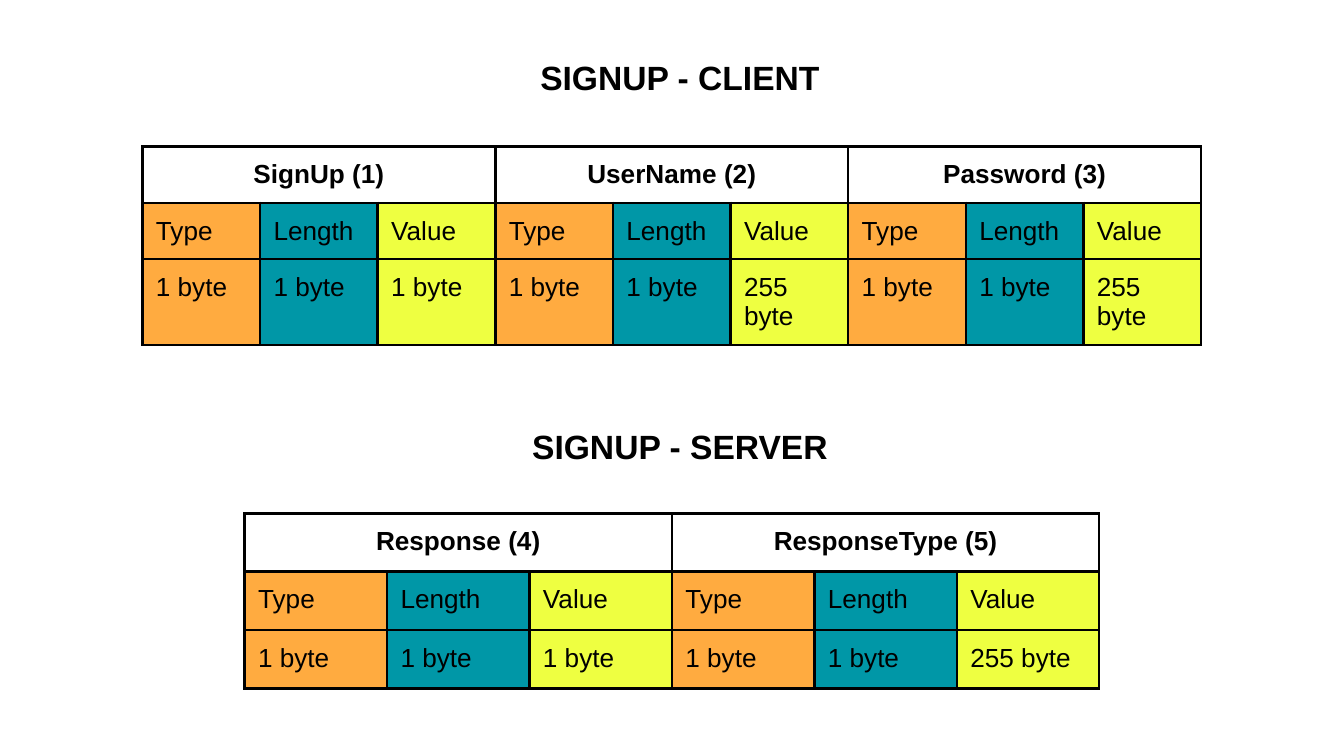
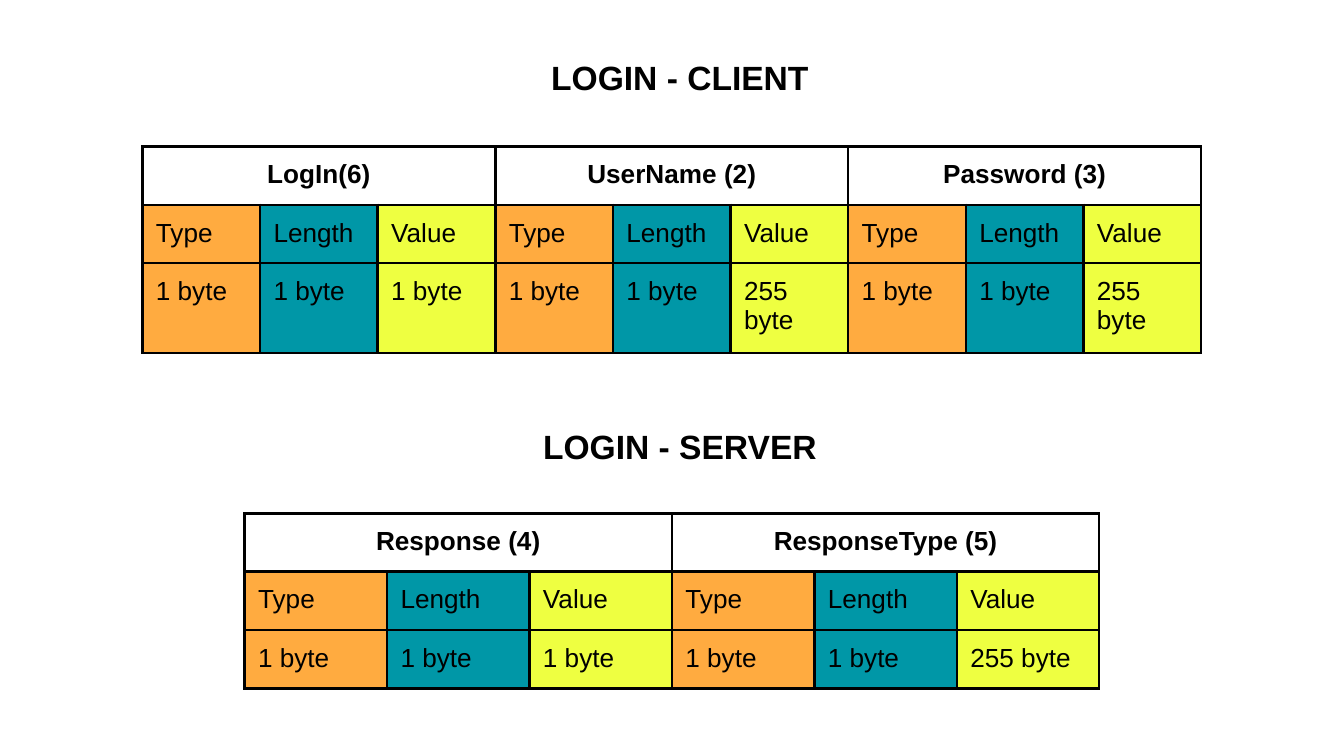
from lxml import etree
from pptx import Presentation
from pptx.dml.color import RGBColor
from pptx.enum import text
from pptx.oxml import ns
from pptx.util import Inches, Pt

BLACK = "000000"
COLUMNS = [("Type", "FFAB40"), ("Length", "0097A7"), ("Value", "EEFF41")]
ROW_HEIGHTS = [Pt(30), Pt(30), Pt(31)]
BORDER_WIDTH = Pt(1.5)
FRAME_SIZE = Inches(3.28)

# Each message: title, title top, table left, table top, table width, fields.
# Each field: name and the size of its value.
credentials = [("UserName (2)", "255 byte"), ("Password (3)", "255 byte")]
response = [("Response (4)", "1 byte"), ("ResponseType (5)", "255 byte")]
slides = [
    [
        (f"{action} - CLIENT", 0.32, 1.06, 1.09, 7.88, [(request, "1 byte")] + credentials),
        (f"{action} - SERVER", 3.07, 1.82, 3.82, 6.36, response),
    ]
    for action, request in [("SIGNUP", "SignUp (1)"), ("LOGIN", "LogIn(6)")]
]


def write(frame, words, size=14, bold=False, align=text.PP_ALIGN.LEFT):
    frame.word_wrap = True
    paragraph = frame.paragraphs[0]
    paragraph.alignment = align
    run = paragraph.add_run()
    run.text = words
    run.font.name = "Arial"
    run.font.size = Pt(size)
    run.font.bold = bold
    run.font.color.rgb = RGBColor.from_string(BLACK)


def format_cell(cell, color=None):
    cell.margin_left = cell.margin_right = Inches(0.1)
    cell.margin_top = cell.margin_bottom = Inches(0.1)
    properties = cell._tc.get_or_add_tcPr()
    for side in ("lnL", "lnR", "lnT", "lnB"):
        line = etree.SubElement(properties, ns.qn(f"a:{side}"), w=str(BORDER_WIDTH))
        line_fill = etree.SubElement(line, ns.qn("a:solidFill"))
        etree.SubElement(line_fill, ns.qn("a:srgbClr"), val=BLACK)
    if color:
        cell.fill.solid()
        cell.fill.fore_color.rgb = RGBColor.from_string(color)
    else:
        cell.fill.background()


prs = Presentation()
prs.slide_width = Inches(10)
prs.slide_height = prs.slide_width * 9 // 16

for messages in slides:
    slide = prs.slides.add_slide(prs.slide_layouts[6])
    for title, title_top, left, top, width, fields in messages:
        # Message layout
        span = len(COLUMNS)
        message = slide.shapes.add_table(
            len(ROW_HEIGHTS), span * len(fields),
            Inches(left), Inches(top), Inches(width), sum(ROW_HEIGHTS),
        )
        layout = message.table
        layout.first_row = False
        layout.horz_banding = False
        for row, height in zip(layout.rows, ROW_HEIGHTS):
            row.height = height
        message.width = message.height = FRAME_SIZE

        for number, (field, value_size) in enumerate(fields):
            start = number * span
            sizes = ["1 byte", "1 byte", value_size]
            for offset, ((label, color), size) in enumerate(zip(COLUMNS, sizes)):
                column = start + offset
                format_cell(layout.cell(0, column))
                for row, words in [(1, label), (2, size)]:
                    cell = layout.cell(row, column)
                    format_cell(cell, color)
                    write(cell.text_frame, words)
            heading = layout.cell(0, start)
            heading.merge(layout.cell(0, start + span - 1))
            write(heading.text_frame, field, bold=True, align=text.PP_ALIGN.CENTER)

        # Message title
        frame = slide.shapes.add_textbox(
            Inches(3.03), Inches(title_top), Inches(4.06), Inches(0.6)
        ).text_frame
        frame.margin_left = frame.margin_right = Inches(0.1)
        frame.margin_top = frame.margin_bottom = Inches(0.1)
        write(frame, title, size=18, bold=True, align=text.PP_ALIGN.CENTER)

prs.save("out.pptx")
